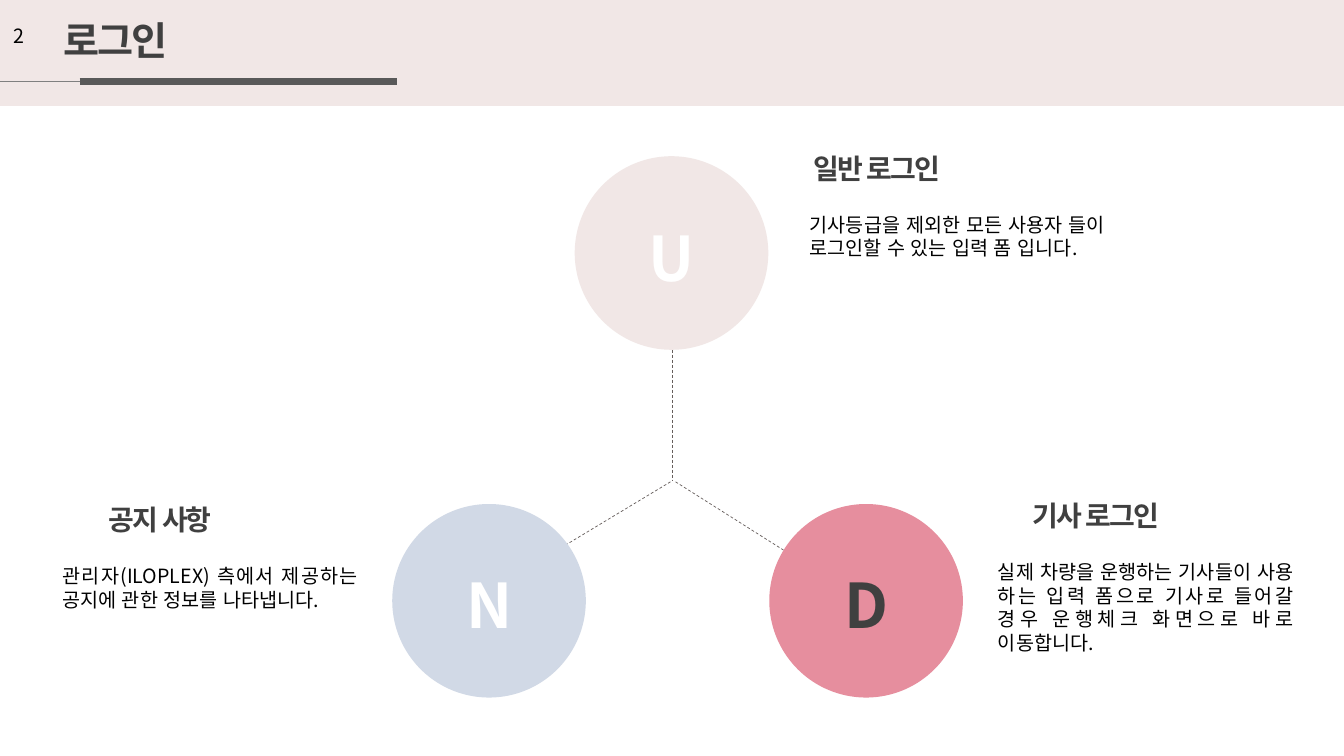
from dataclasses import dataclass

from lxml.etree import SubElement
from pptx import Presentation
from pptx.dml.color import RGBColor
from pptx.enum.dml import MSO_LINE_DASH_STYLE as DASH
from pptx.enum.lang import MSO_LANGUAGE_ID as LANGUAGE
from pptx.enum.shapes import MSO_CONNECTOR as CONNECTOR, MSO_SHAPE as SHAPE
from pptx.enum.text import PP_ALIGN as ALIGN
from pptx.oxml.ns import qn
from pptx.util import Pt

PX = 9144  # EMU per px, 100 px to the inch
WIDTH, HEIGHT = 1333, 750
DIAMETER = 192


@dataclass(frozen=True)
class Theme:
    font: str = "Noto Sans CJK KR"
    blush: str = "F1E7E6"
    blue: str = "D1D9E6"
    rose: str = "E68E9E"
    white: str = "FFFFFF"
    black: str = "000000"
    dark: str = "404040"
    bar: str = "595959"
    rule: str = "808080"
    spoke: str = "655D5B"
    title: int = 28
    heading: int = 20
    body: int = 14
    letter: int = 44


THEME = Theme()


def add_filled(slide, kind, box, color):
    shape = slide.shapes.add_shape(kind, *(v * PX for v in box))
    shape.shadow.inherit = False
    shape.fill.solid()
    shape.fill.fore_color.rgb = RGBColor.from_string(color)
    shape.line.fill.background()


def add_line(slide, ends, color, width, dash=None):
    line = slide.shapes.add_connector(CONNECTOR.STRAIGHT, *(v * PX for v in ends))
    line.line.color.rgb = RGBColor.from_string(color)
    line.line.width = Pt(width)
    if dash:
        line.line.dash_style = dash
    SubElement(line._element.spPr, qn("a:effectLst"))


def add_text(slide, box, text, size, color, align=ALIGN.LEFT,
             bold=False, tracking=0, wrap=False):
    frame = slide.shapes.add_textbox(*(v * PX for v in box)).text_frame
    frame.word_wrap = wrap
    frame.text = text
    paragraph = frame.paragraphs[0]
    paragraph.alignment = align
    run = paragraph.runs[0]
    run.font.name = THEME.font
    run.font.language_id = LANGUAGE.KOREAN
    run.font.size = Pt(size)
    run.font.bold = bold
    run.font.color.rgb = RGBColor.from_string(color)
    if tracking:
        run.font._element.set("spc", str(round(tracking * 100)))


def add_header(slide):
    add_filled(slide, SHAPE.RECTANGLE, (0, 0, WIDTH, 105), THEME.blush)
    add_line(slide, (0, 81, 79, 81), THEME.rule, 0.5)
    add_line(slide, (79, 81, 394, 81), THEME.bar, 4.5)
    add_text(slide, (4, 19, 31, 34), "2", THEME.body, THEME.black)
    add_text(slide, (53, 11, 132, 57), "로그인", THEME.title, THEME.dark,
             bold=True, tracking=-1.5)


def add_node(slide, left, top, letter, fill, color):
    add_filled(slide, SHAPE.OVAL, (left, top, DIAMETER, DIAMETER), fill)
    add_text(slide, (left + 62, top + 58, 69, 84), letter, THEME.letter, color,
             ALIGN.CENTER, bold=True)


def add_description(slide, heading_box, heading, align, body_box, body):
    add_text(slide, body_box, body, THEME.body, THEME.black,
             ALIGN.JUSTIFY, wrap=True)
    add_text(slide, heading_box, heading, THEME.heading, THEME.dark, align,
             bold=True, tracking=-1.5)


def main():
    prs = Presentation()
    prs.slide_width, prs.slide_height = WIDTH * PX, HEIGHT * PX
    slide = prs.slides.add_slide(prs.slide_layouts[6])
    add_header(slide)

    # Dashed spokes meeting at the hub
    for ends in ((667, 347, 667, 477), (665, 478, 524, 563), (670, 478, 787, 552)):
        add_line(slide, ends, THEME.spoke, 0.5, DASH.DASH)

    # Lettered circles
    add_node(slide, 389, 500, "N", THEME.blue, THEME.white)
    add_node(slide, 570, 155, "U", THEME.blush, THEME.white)
    add_node(slide, 763, 500, "D", THEME.rose, THEME.dark)

    # Headings with their descriptions
    add_description(slide, (93, 494, 132, 44), "공지 사항", ALIGN.CENTER,
                    (52, 555, 313, 57),
                    "관리자(ILOPLEX) 측에서 제공하는 공지에 관한 정보를 나타냅니다.")
    add_description(slide, (1008, 490, 158, 44), "기사 로그인", ALIGN.CENTER,
                    (980, 551, 313, 104),
                    "실제 차량을 운행하는 기사들이 사용 하는 입력 폼으로 기사로 "
                    "들어갈 경우 운행체크 화면으로 바로 이동합니다.")
    add_description(slide, (797, 145, 158, 44), "일반 로그인", ALIGN.LEFT,
                    (793, 206, 313, 81),
                    "기사등급을 제외한 모든 사용자 들이 로그인할 수 있는 입력 폼 입니다.")

    prs.save("out.pptx")


if __name__ == "__main__":
    main()
